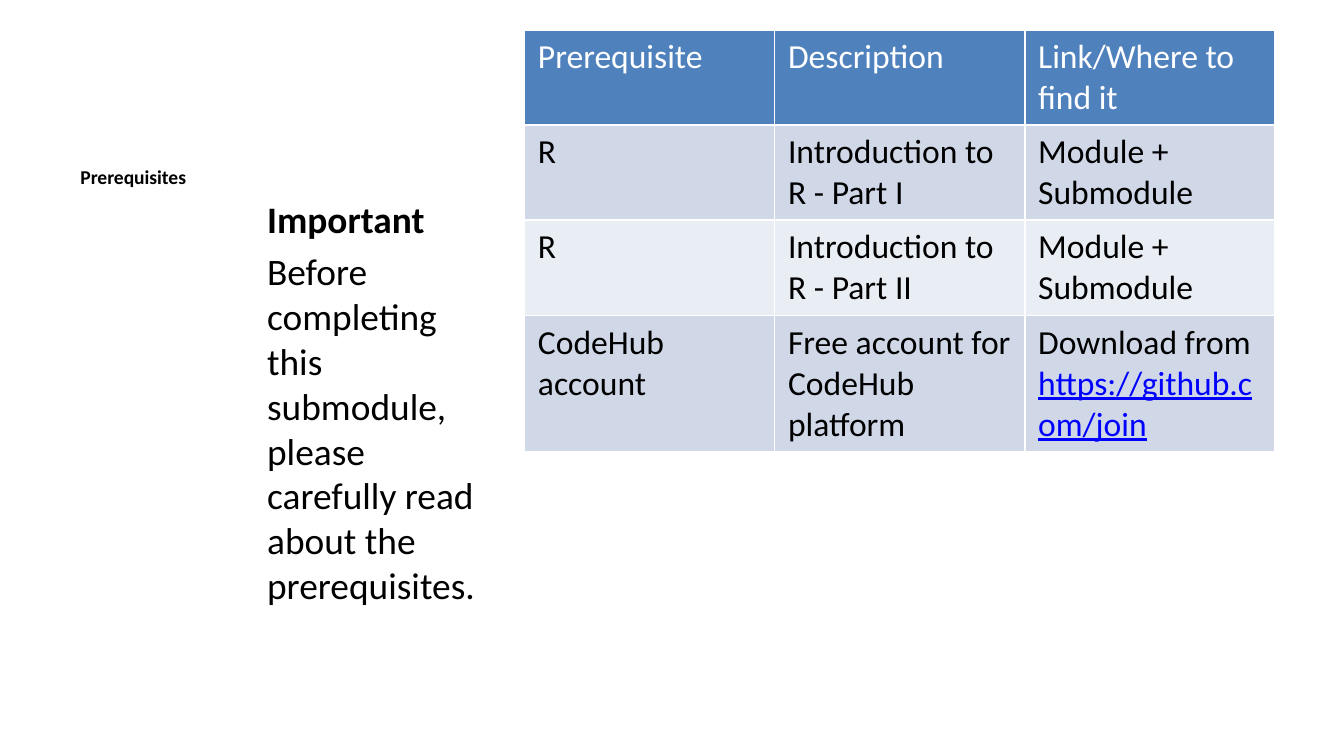
"""Builds the prerequisites slide: a reading note beside a table."""
from lxml import etree
from pptx import Presentation
from pptx.dml.color import RGBColor
from pptx.oxml.ns import qn
from pptx.util import Pt

FONT = "Calibri"
BLACK = RGBColor(0x00, 0x00, 0x00)
WHITE = RGBColor(0xFF, 0xFF, 0xFF)
BLUE = RGBColor(0x4F, 0x81, 0xBD)
DARK = RGBColor(0xD0, 0xD8, 0xE8)
LIGHT = RGBColor(0xE9, 0xED, 0xF4)
LINK = RGBColor(0x00, 0x00, 0xFF)
URL = "https://github.com/join"

NOTE = [
    ("Prerequisites", 10.5, True, 0, 0),
    ("Important", 20, True, 100, 4),
    ("Before completing this submodule, please carefully read about "
     "the prerequisites.", 20, False, 100, 4),
]
ROWS = [
    [["Prerequisite"], ["Description"], ["Link/Where to find it"]],
    [["R"], ["Introduction to R - Part I"], ["Module + Submodule"]],
    [["R"], ["Introduction to R - Part II"], ["Module + Submodule"]],
    [["CodeHub account"], ["Free account for CodeHub platform"],
     ["Download from ", URL]],
]
HEIGHTS = [51, 51, 51, 73]
WIDTH = 134


def add_run(para, text, size, color, bold=False, line=False):
    run = para.add_run()
    run.text = text
    font = run.font
    font.name = FONT
    font.size = Pt(size)
    font.bold = bold
    font.underline = line
    font.color.rgb = color


def add_note(slide):
    box = slide.shapes.add_textbox(Pt(36), Pt(85), Pt(237), Pt(277))
    frame = box.text_frame
    frame.word_wrap = True
    for i, (text, size, bold, indent, gap) in enumerate(NOTE):
        para = frame.add_paragraph() if i else frame.paragraphs[0]
        props = para._p.get_or_add_pPr()
        props.set("marL", str(Pt(indent)))
        props.set("indent", "0")
        para.space_before = Pt(gap)
        add_run(para, text, size, BLACK, bold)


def add_edges(cell):
    props = cell._tc.get_or_add_tcPr()
    for side in ("lnL", "lnR", "lnT", "lnB"):
        edge = etree.SubElement(props, qn(f"a:{side}"), w=str(Pt(1)))
        fill = etree.SubElement(edge, qn("a:solidFill"))
        etree.SubElement(fill, qn("a:srgbClr"), val=str(WHITE))


def fill_cell(cell, texts, fill, color):
    add_edges(cell)
    cell.fill.solid()
    cell.fill.fore_color.rgb = fill
    para = cell.text_frame.paragraphs[0]
    for text in texts:
        link = text == URL
        add_run(para, text, 18, LINK if link else color, line=link)


def add_grid(slide):
    cols = len(ROWS[0])
    frame = slide.shapes.add_table(len(ROWS), cols, Pt(281), Pt(16),
                                   Pt(cols * WIDTH), Pt(sum(HEIGHTS)))
    table = frame.table
    for col in table.columns:
        col.width = Pt(WIDTH)
    for r, row in enumerate(ROWS):
        table.rows[r].height = Pt(HEIGHTS[r])
        fill = (DARK if r % 2 else LIGHT) if r else BLUE
        for c, texts in enumerate(row):
            fill_cell(table.cell(r, c), texts, fill, BLACK if r else WHITE)


def main():
    deck = Presentation()
    deck.slide_width = Pt(720)
    deck.slide_height = Pt(405)
    slide = deck.slides.add_slide(deck.slide_layouts[6])
    add_note(slide)
    add_grid(slide)
    deck.save("out.pptx")


if __name__ == "__main__":
    main()
